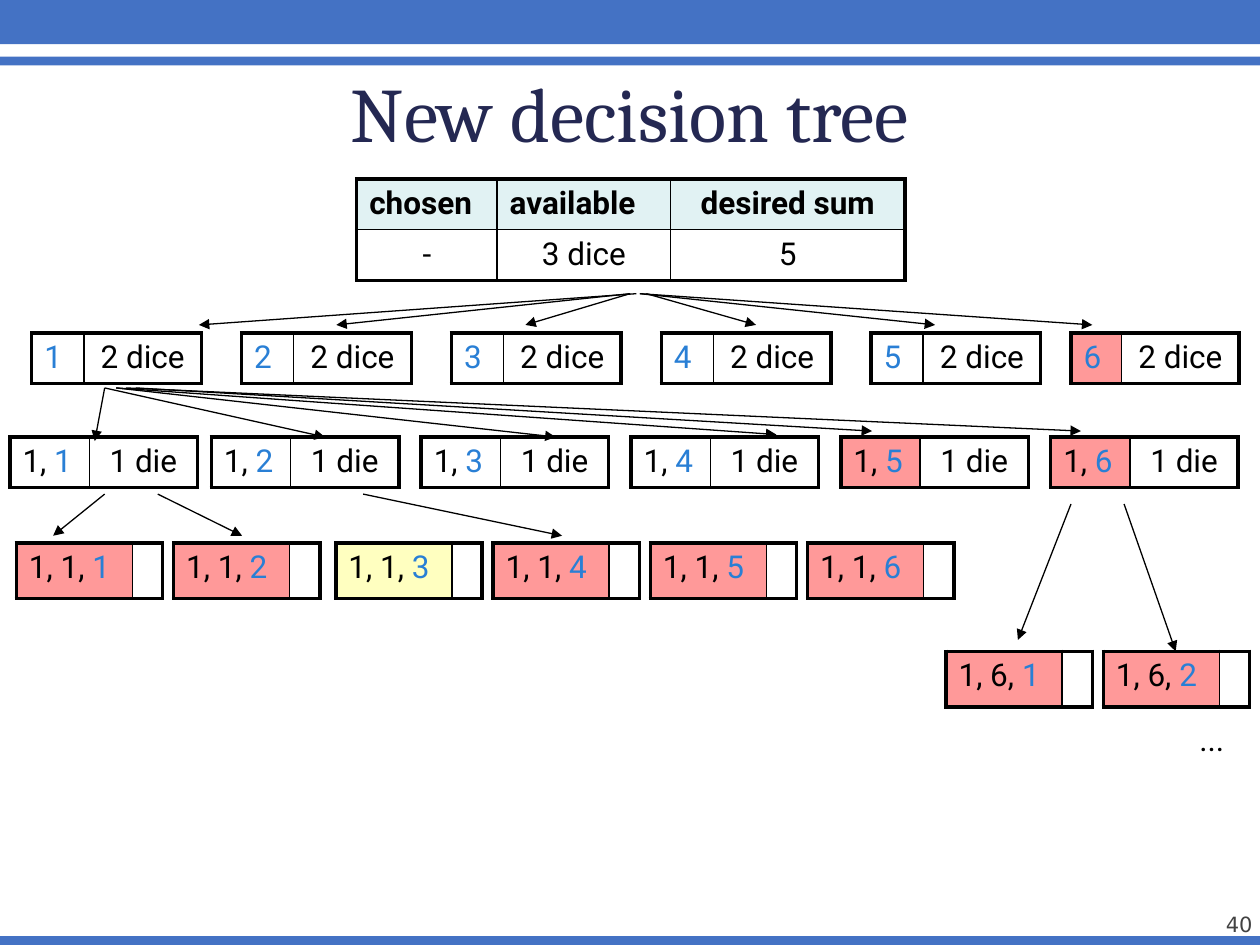
from lxml.etree import SubElement
from pptx import Presentation
from pptx.dml.color import RGBColor
from pptx.enum.shapes import MSO_CONNECTOR, MSO_SHAPE
from pptx.enum.text import MSO_ANCHOR as Anchor, MSO_AUTO_SIZE as AutoSize, PP_ALIGN as Align
from pptx.oxml.ns import qn
from pptx.util import Cm, Pt

COLORS = {
    "bar": "4472C4",
    "title": "242852",
    "number": "424242",
    "text": "000000",
    "choice": "297FD5",
    "header": "E1F2F3",
    "dead_end": "FF9999",
    "solution": "FFFFC0",
}
THICK, THIN = 2.25, 1
ROW_HEIGHT, LEAF_HEIGHT = 1.02, 1.12


def color(name):
    return RGBColor.from_string(COLORS[name])


def format_run(run, size=18, font="Roboto", color_name="text", bold=False):
    run.font.size = Pt(size)
    run.font.name = font
    run.font.bold = bold
    run.font.color.rgb = color(color_name)


def set_borders(cell, widths):
    """Draw the left, right, top and bottom borders, with widths in points."""
    properties = cell._tc.get_or_add_tcPr()
    for side, width in zip("LRTB", widths):
        line = SubElement(properties, qn(f"a:ln{side}"), w=str(Pt(width)))
        fill = SubElement(line, qn("a:solidFill"))
        SubElement(fill, qn("a:srgbClr"), val=COLORS["text"])


def add_grid(slide, left, top, column_widths, row_height, row_count=1):
    """Add an unfilled table with a thick frame and thin inner lines."""
    column_count = len(column_widths)
    frame = slide.shapes.add_table(row_count, column_count, Cm(left), Cm(top),
                                   Cm(sum(column_widths)), Cm(row_height * row_count))
    table = frame.table
    table.first_row = table.horz_banding = False
    for column, width in zip(table.columns, column_widths):
        column.width = Cm(width)
    for r, row in enumerate(table.rows):
        row.height = Cm(row_height)
        for c, cell in enumerate(row.cells):
            on_frame = (c == 0, c == column_count - 1, r == 0, r == row_count - 1)
            set_borders(cell, [THICK if outer else THIN for outer in on_frame])
            cell.fill.background()
    return table


def fill_cell(cell, fill_name):
    cell.fill.solid()
    cell.fill.fore_color.rgb = color(fill_name)


def write_cell(cell, text, align=Align.CENTER, bold=False):
    paragraph = cell.text_frame.paragraphs[0]
    paragraph.text = text
    paragraph.alignment = align
    format_run(paragraph.runs[0], bold=bold)


def add_root(slide, left, top):
    table = add_grid(slide, left, top, [2.83, 3.5, 4.72], ROW_HEIGHT, row_count=2)
    headers = [("chosen", Align.LEFT), ("available", Align.LEFT), ("desired sum", Align.CENTER)]
    for column, (text, align) in enumerate(headers):
        write_cell(table.cell(0, column), text, align, bold=True)
        fill_cell(table.cell(0, column), "header")
    for column, text in enumerate(["-", "3 dice", "5"]):
        write_cell(table.cell(1, column), text)


def add_node(slide, left, top, column_widths, height, prefix, value, available="", fill_name=None):
    """Add one tree node: the dice chosen so far, the newest in blue, and the dice left."""
    table = add_grid(slide, left, top, column_widths, height)
    chosen, remaining = table.cell(0, 0), table.cell(0, 1)
    paragraph = chosen.text_frame.paragraphs[0]
    for text, color_name in [(prefix, "text"), (str(value), "choice")]:
        if text:
            run = paragraph.add_run()
            run.text = text
            format_run(run, color_name=color_name)
    if available:
        write_cell(remaining, available)
    if fill_name:
        fill_cell(chosen, fill_name)


def add_first_level(slide, left, top):
    for value in range(1, 6):
        add_node(slide, left + 4.23 * (value - 1), top, [1.05, 2.37], ROW_HEIGHT,
                 "", value, "2 dice")
    add_node(slide, left + 20.95, top, [1.02, 2.37], ROW_HEIGHT, "", 6, "2 dice", "dead_end")


def add_second_level(slide, left, top):
    for value in range(1, 7):
        offset = 4.23 * (value - 1) - (0.17 if value > 1 else 0)
        add_node(slide, left + offset, top, [1.6, 2.18], ROW_HEIGHT,
                 "1, ", value, "1 die", "dead_end" if value > 4 else None)


def add_leaves(slide, left, top, prefix, count, solution=None):
    for value in range(1, count + 1):
        offset = 3.17 * (value - 1) + (0.1 if value > 2 else 0)
        add_node(slide, left + offset, top, [2.34, 0.58], LEAF_HEIGHT, prefix, value,
                 fill_name="solution" if value == solution else "dead_end")


def add_arrows(slide, top, ends):
    """Add arrows that leave one height; ends holds (start x, end x, end y)."""
    for start_x, end_x, end_y in ends:
        arrow = slide.shapes.add_connector(MSO_CONNECTOR.STRAIGHT, Cm(start_x), Cm(top),
                                           Cm(end_x), Cm(end_y))
        arrow.line.width = Pt(0.75)
        arrow.line.color.rgb = color("text")
        properties = arrow.element.spPr
        SubElement(properties.find(qn("a:ln")), qn("a:tailEnd"), type="triangle")
        SubElement(properties, qn("a:effectLst"))


def add_bars(slide):
    for left, top, height in [(0, -0.08, 0.97), (-0.05, 1.14, 0.18), (-0.05, 18.87, 0.18)]:
        bar = slide.shapes.add_shape(MSO_SHAPE.RECTANGLE, Cm(left), Cm(top), Cm(25.45), Cm(height))
        bar.shadow.inherit = False
        bar.fill.solid()
        bar.fill.fore_color.rgb = color("bar")
        bar.line.fill.background()


def set_title(slide, left, top, width, height):
    title = slide.shapes.title
    title.left, title.top, title.width, title.height = Cm(left), Cm(top), Cm(width), Cm(height)
    frame = title.text_frame
    frame.text = "New decision tree"
    frame.auto_size = AutoSize.NONE
    frame.vertical_anchor = Anchor.BOTTOM
    frame.margin_left = frame.margin_right = frame.margin_bottom = 0
    frame.margin_top = Cm(0.13)
    frame.paragraphs[0].alignment = Align.CENTER
    format_run(frame.paragraphs[0].runs[0], 44, "Cambria", "title")


def add_text(slide, left, top, width, height, text, **style):
    frame = slide.shapes.add_textbox(Cm(left), Cm(top), Cm(width), Cm(height)).text_frame
    frame.text = text
    format_run(frame.paragraphs[0].runs[0], **style)
    return frame


def add_slide_number(slide, left, top, width, height):
    frame = add_text(slide, left, top, width, height, "40",
                     size=12, font="DejaVu Sans", color_name="number")
    frame.word_wrap = True
    frame.vertical_anchor = Anchor.BOTTOM
    frame.margin_left = frame.margin_right = frame.margin_top = frame.margin_bottom = 0
    frame.paragraphs[0].alignment = Align.RIGHT


def main():
    presentation = Presentation()
    presentation.slide_width, presentation.slide_height = Cm(25.4), Cm(19.05)
    slide = presentation.slides.add_slide(presentation.slide_layouts[5])
    add_slide_number(slide, 23.14, 17.86, 2.11, 1.02)
    add_bars(slide)
    set_title(slide, 1.27, 1.22, 22.86, 1.96)

    add_root(slide, 7.19, 3.61)
    add_first_level(slide, 0.64, 6.71)
    add_second_level(slide, 0.2, 8.81)
    add_leaves(slide, 0.33, 10.95, "1, 1, ", 6, solution=3)
    add_leaves(slide, 19.07, 13.13, "1, 6, ", 2)

    add_arrows(slide, 5.92, [(12.83, 4.01, 6.55), (12.7, 6.78, 6.55), (12.7, 10.59, 6.55),
                             (13.03, 15.24, 6.55), (12.9, 18.85, 6.55), (12.9, 22.02, 6.55)])
    add_arrows(slide, 7.82, [(2.11, 1.91, 8.89), (2.11, 6.55, 8.81), (2.34, 11.2, 8.81),
                             (2.34, 15.65, 8.76), (2.74, 17.58, 8.69), (2.54, 21.79, 8.69)])
    add_arrows(slide, 9.96, [(2.11, 1.07, 10.8), (3.18, 4.88, 10.8), (7.32, 11.33, 10.8)])
    add_arrows(slide, 10.16, [(21.59, 20.52, 12.9), (22.66, 23.7, 13.13)])
    ellipsis = add_text(slide, 23.93, 14.4, 1.09, 1.02, "...")
    ellipsis.word_wrap = False
    ellipsis.auto_size = AutoSize.SHAPE_TO_FIT_TEXT
    presentation.save("out.pptx")


if __name__ == "__main__":
    main()
